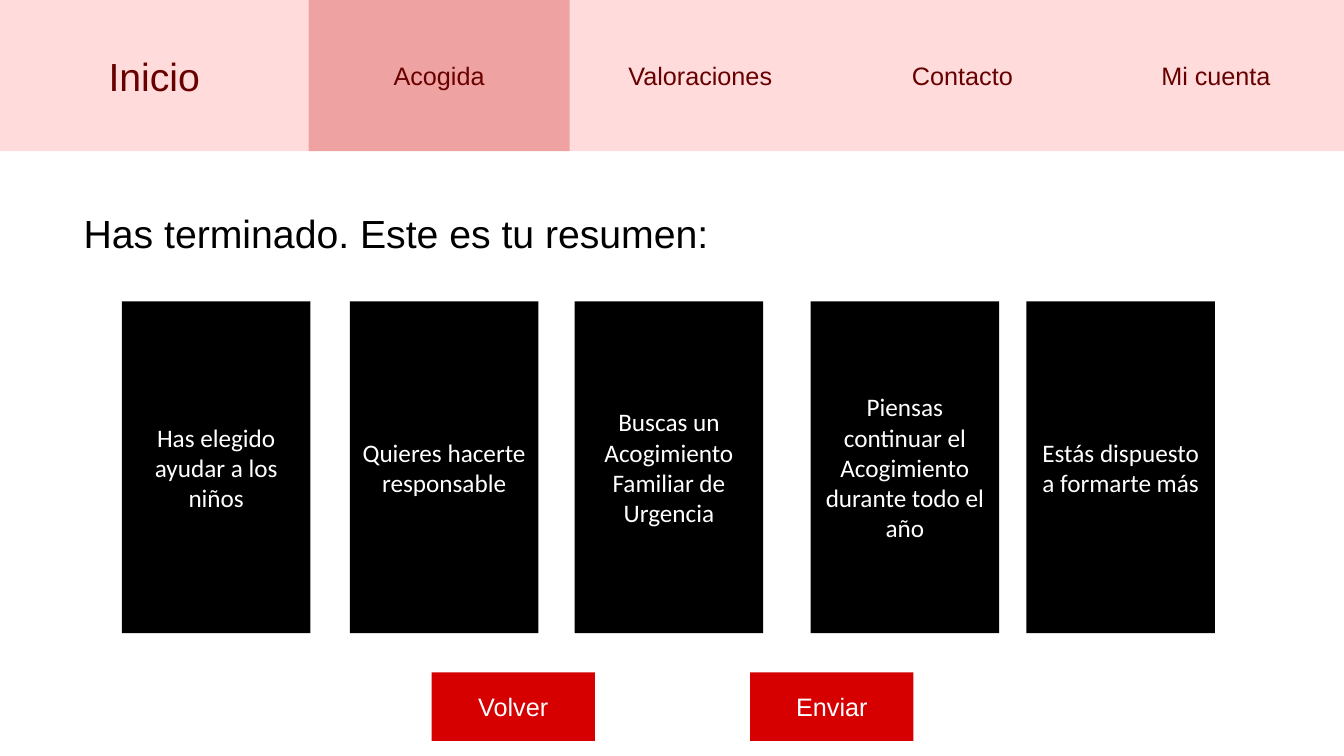
"""Build the summary page of a foster-care website mock-up."""
from dataclasses import dataclass

from lxml import etree
from pptx import Presentation
from pptx.dml.color import RGBColor
from pptx.enum.shapes import MSO_SHAPE
from pptx.enum.text import MSO_ANCHOR, MSO_AUTO_SIZE, PP_ALIGN
from pptx.oxml.ns import qn
from pptx.util import Inches, Pt

RECTANGLE = MSO_SHAPE.RECTANGLE
MIDDLE = MSO_ANCHOR.MIDDLE
NO_AUTOFIT = MSO_AUTO_SIZE.NONE
CENTER = PP_ALIGN.CENTER
LEFT = PP_ALIGN.LEFT
TITLE_ONLY = 5


@dataclass(frozen=True)
class Theme:
    """Colours, fonts and type sizes of the page."""
    bar: str = "FF0000"
    bar_alpha: int = 14
    active_tab: str = "C00000"
    active_alpha: int = 26
    menu_text: str = "680000"
    button: str = "D60000"
    dark: str = "000000"
    light: str = "FFFFFF"
    font: str = "Arial"
    card_font: str = "Calibri"
    large: int = 28
    normal: int = 18


THEME = Theme()
WIDTH, HEIGHT = 13.33, 7.5
BAR_HEIGHT = HEIGHT / 5
HOME_WIDTH = 3.06
TABS = [
    ("Acogida", HOME_WIDTH, 2.59),
    ("Valoraciones", 5.65, 2.59),
    ("Contacto", 8.25, 2.59),
    ("Mi cuenta", 10.79, 2.54),
]
ACTIVE_TAB = "Acogida"
CARD_TOP, CARD_WIDTH, CARD_HEIGHT = 2.99, 1.87, 3.29
CARDS = [
    ("Has elegido ayudar a los niños", 1.21),
    ("Quieres hacerte responsable", 3.47),
    ("Buscas un Acogimiento Familiar de Urgencia", 5.7),
    ("Piensas continuar el Acogimiento durante todo el año", 8.04),
    ("Estás dispuesto a formarte más", 10.18),
]
BUTTON_TOP, BUTTON_WIDTH, BUTTON_HEIGHT = 6.67, 1.62, 0.68
BUTTONS = [("Volver", 4.28), ("Enviar", 7.44)]


def write_text(box, text, color, size=THEME.normal, font=THEME.font, align=CENTER):
    """Write one vertically centred paragraph into a shape."""
    frame = box.text_frame
    frame.word_wrap = True
    frame.auto_size = NO_AUTOFIT
    frame.vertical_anchor = MIDDLE
    para = frame.paragraphs[0]
    para.alignment = align
    span = para.add_run()
    span.text = text
    span.font.name = font
    span.font.size = Pt(size)
    span.font.color.rgb = RGBColor.from_string(color)


def add_panel(page, area, color, alpha=100):
    """Add a borderless rectangle with an opacity given in percent."""
    box = page.shapes.add_shape(RECTANGLE, *map(Inches, area))
    box.shadow.inherit = False
    box.line.fill.background()
    box.fill.solid()
    box.fill.fore_color.rgb = RGBColor.from_string(color)
    if alpha < 100:
        tint = box.fill._xPr.find(qn("a:solidFill"))[0]
        etree.SubElement(tint, qn("a:alpha")).set("val", str(alpha * 1000))
    return box


def add_label(page, area):
    """Add an empty text box."""
    return page.shapes.add_textbox(*map(Inches, area))


def add_menu(page):
    """Add the menu bar with its home link and tabs."""
    add_panel(page, (0, 0, WIDTH, BAR_HEIGHT), THEME.bar, THEME.bar_alpha)
    home = add_label(page, (0, 0, HOME_WIDTH, BAR_HEIGHT))
    write_text(home, "Inicio", THEME.menu_text, THEME.large)
    for text, left, width in TABS:
        area = (left, 0, width, BAR_HEIGHT)
        if text == ACTIVE_TAB:
            tab = add_panel(page, area, THEME.active_tab, THEME.active_alpha)
        else:
            tab = add_label(page, area)
        write_text(tab, text, THEME.menu_text)


def set_title(page, text):
    """Place and format the title placeholder."""
    title = page.shapes.title
    title.left, title.top = Inches(0.73), Inches(BAR_HEIGHT)
    title.width, title.height = Inches(11.87), Inches(1.62)
    write_text(title, text, THEME.dark, THEME.large, align=LEFT)


def add_cards(page):
    """Add the row of summary cards."""
    for text, left in CARDS:
        card = add_panel(page, (left, CARD_TOP, CARD_WIDTH, CARD_HEIGHT), THEME.dark)
        write_text(card, text, THEME.light, font=THEME.card_font)


def add_buttons(page):
    """Add the buttons at the foot of the page."""
    for text, left in BUTTONS:
        area = (left, BUTTON_TOP, BUTTON_WIDTH, BUTTON_HEIGHT)
        write_text(add_panel(page, area, THEME.button), text, THEME.light)


def main():
    """Build and save the deck."""
    deck = Presentation()
    deck.slide_width, deck.slide_height = Inches(WIDTH), Inches(HEIGHT)
    page = deck.slides.add_slide(deck.slide_layouts[TITLE_ONLY])
    add_menu(page)
    set_title(page, "Has terminado. Este es tu resumen:")
    add_buttons(page)
    add_cards(page)
    deck.save("out.pptx")


if __name__ == "__main__":
    main()
